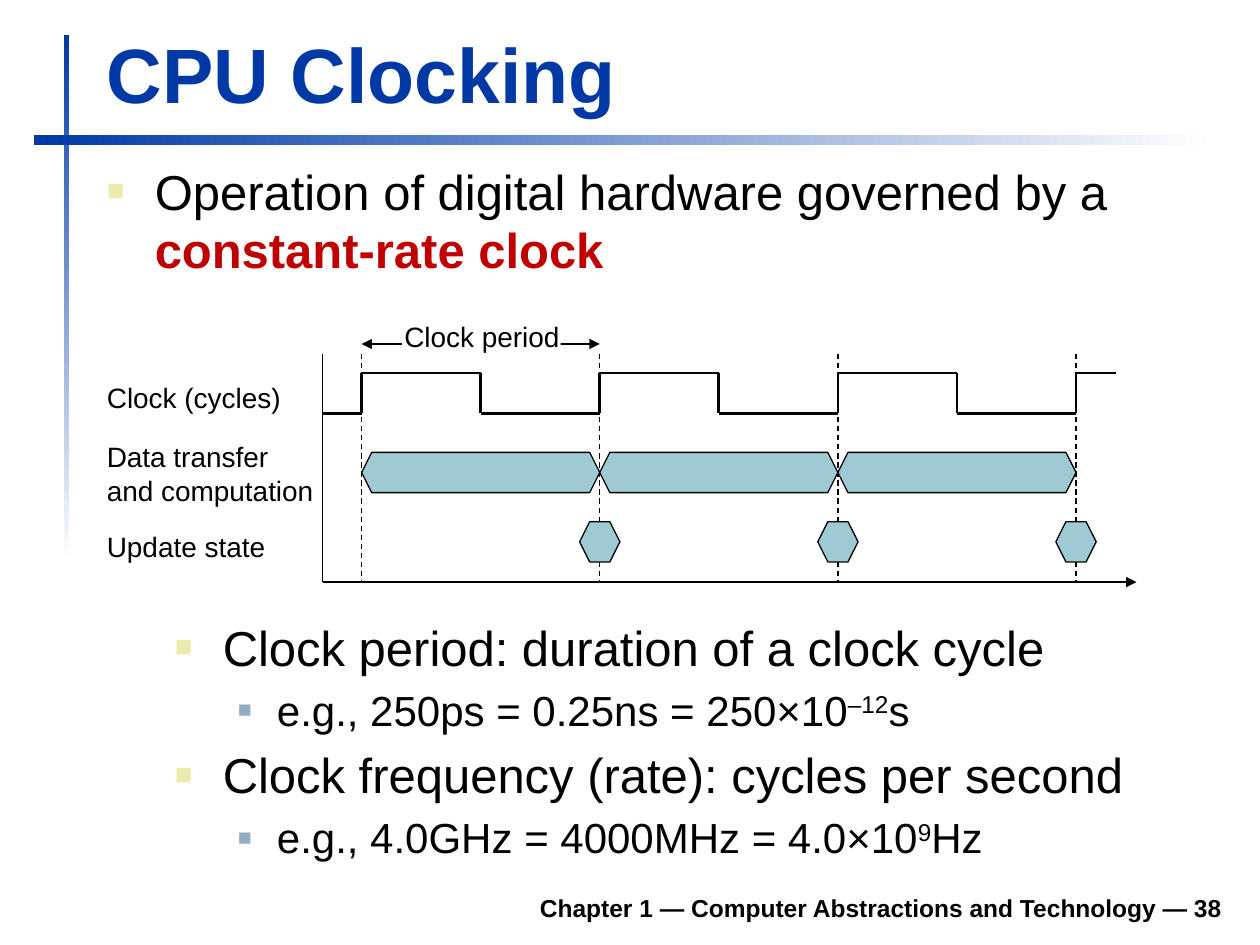
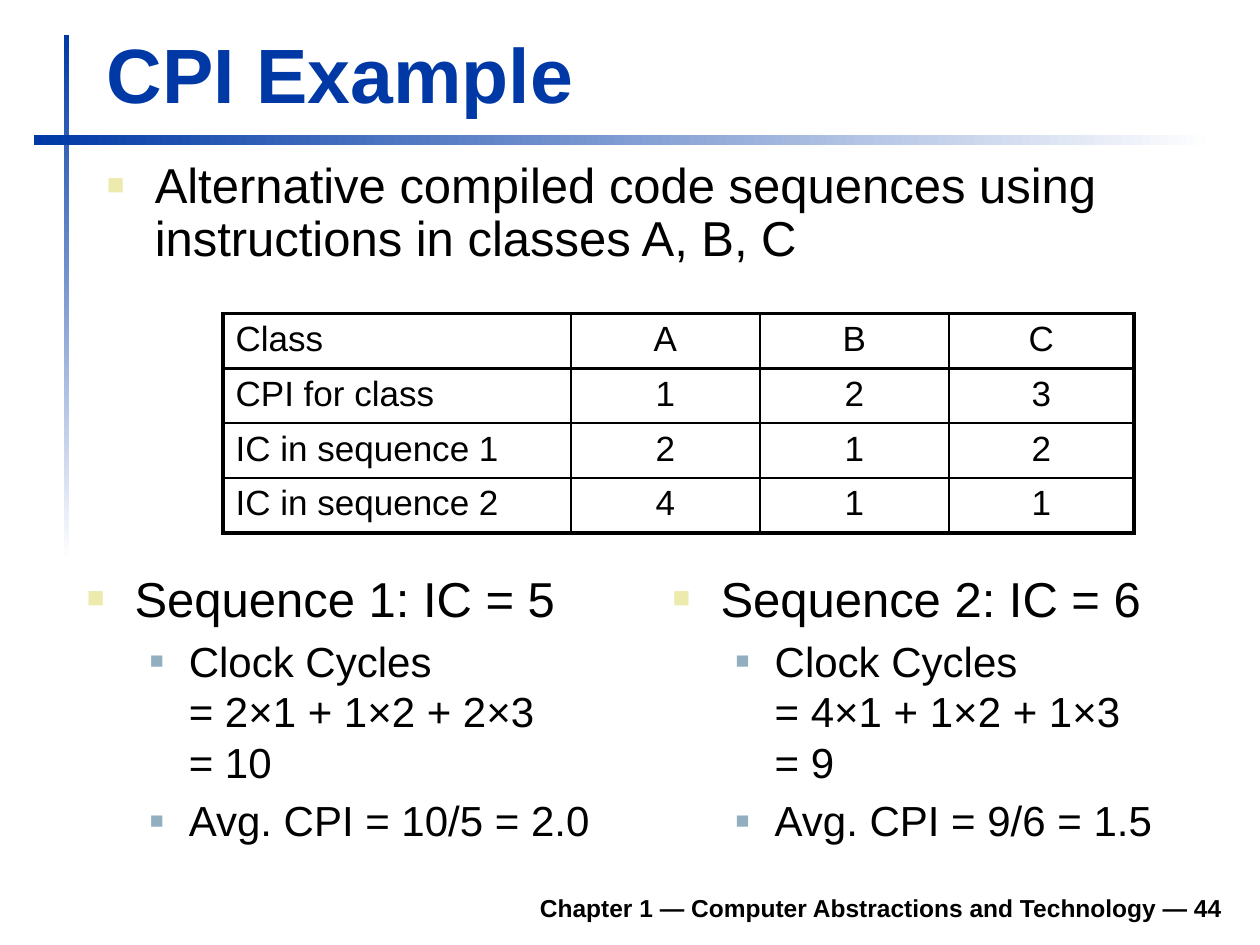
import itertools

import pptx
import pptx.util
from lxml import etree
from pptx.dml.color import RGBColor
from pptx.enum.dml import MSO_LINE
from pptx.enum.shapes import MSO_CONNECTOR, MSO_SHAPE
from pptx.enum.text import MSO_ANCHOR, PP_ALIGN
from pptx.oxml.ns import qn

Inches, Pt = pptx.util.Inches, pptx.util.Pt

# Content
FOOTER = "Chapter 1 — Computer Abstractions and Technology — {}"
KEY = dict(bold=True, color="red")
SUP = dict(sup=True)

# Each bullet is (level, runs); a run is (text, format)
CLOCK_INTRO = [(0, [("Operation of digital hardware governed by a ", {}),
                    ("constant-rate clock", KEY)])]
CLOCK_FACTS = [
    (0, [("Clock period: duration of a clock cycle", {})]),
    (1, [("e.g., 250ps = 0.25ns = 250×10", {}), ("–12", SUP), ("s", {})]),
    (0, [("Clock frequency (rate): cycles per second", {})]),
    (1, [("e.g., 4.0GHz = 4000MHz = 4.0×10", {}), ("9", SUP), ("Hz", {})]),
]
SIGNALS = [  # label, left, top, width, height
    ("Clock (cycles)", (0.75, 2.97, 1.58, 0.37)),
    ("Data transfer\nand computation", (0.75, 3.44, 1.84, 0.64)),
    ("Update state", (0.75, 4.15, 1.46, 0.37)),
]
CPI_INTRO = [(0, [("Alternative compiled code sequences using "
                   "instructions in classes A, B, C", {})])]
CPI_TABLE = [
    ("Class", "A", "B", "C"),
    ("CPI for class", "1", "2", "3"),
    ("IC in sequence 1", "2", "1", "2"),
    ("IC in sequence 2", "4", "1", "1"),
]
COL_WIDTHS = [2.76, 1.5, 1.5, 1.47]
ROW_HEIGHTS = [0.43, 0.43, 0.43, 0.44]
SEQUENCES = [  # left, heading, clock cycles, average
    (0.59, "Sequence 1: IC = 5", "Clock Cycles\n= 2×1 + 1×2 + 2×3\n= 10",
     "Avg. CPI = 10/5 = 2.0"),
    (5.24, "Sequence 2: IC = 6", "Clock Cycles\n= 4×1 + 1×2 + 1×3\n= 9",
     "Avg. CPI = 9/6 = 1.5"),
]

# Style
FONT = "Arial"
COLORS = dict(blue="0039A6", white="FFFFFF", black="000000", red="C00000",
              teal="9FCAD3", sand="ECEAAC", steel="91AFBF")
LEVELS = [
    dict(size=28, left=0.38, hang=0.38, color="sand", percent=60),
    dict(size=24, left=0.81, hang=0.31, color="steel", percent=55),
]

# Timing diagram
PERIOD = 1.89
EDGES = [2.87 + PERIOD * i for i in range(4)]
AXIS_X, AXIS_TOP, AXIS_Y, AXIS_END = 2.56, 2.81, 4.62, 9.02
HIGH, LOW, WAVE_END = 2.96, 3.28, 8.86
DATA_TOP, STATE_TOP, HEX_H, STATE_W = 3.59, 4.14, 0.32, 0.32


def rgb(name):
    return RGBColor.from_string(COLORS[name])


def inches(*lengths):
    return [Inches(n) for n in lengths]


def add_run(p, text, size=16, color="black", bold=False, sup=False):
    for i, line in enumerate(text.split("\n")):
        if i:
            p.add_line_break()
        r = p.add_run()
        r.text = line
        r.font.name, r.font.size, r.font.bold = FONT, Pt(size), bold
        r.font.color.rgb = rgb(color)
        if sup:
            r.font._element.set("baseline", "30000")


def add_box(s, box, wrap=True, anchor=MSO_ANCHOR.TOP):
    tf = s.shapes.add_textbox(*inches(*box)).text_frame
    tf.word_wrap, tf.vertical_anchor = wrap, anchor
    return tf


def add_label(s, box, text, align=PP_ALIGN.LEFT, wrap=False,
              anchor=MSO_ANCHOR.TOP, **font):
    p = add_box(s, box, wrap, anchor).paragraphs[0]
    p.alignment = align
    add_run(p, text, **font)


def set_bullet(p, style):
    pPr = p._p.get_or_add_pPr()
    pPr.set("marL", str(Inches(style["left"])))
    pPr.set("indent", str(-Inches(style["hang"])))
    color = etree.SubElement(pPr, qn("a:buClr"))
    etree.SubElement(color, qn("a:srgbClr"), val=COLORS[style["color"]])
    etree.SubElement(pPr, qn("a:buSzPct"), val=str(style["percent"] * 1000))
    etree.SubElement(pPr, qn("a:buFont"), typeface=FONT)
    etree.SubElement(pPr, qn("a:buChar"), char="■")


def add_bullets(s, box, bullets, spacing=None):
    tf = add_box(s, box)
    for i, (level, runs) in enumerate(bullets):
        style = LEVELS[level]
        p = tf.add_paragraph() if i else tf.paragraphs[0]
        p.level = level
        set_bullet(p, style)
        p.line_spacing = spacing
        p.space_before = Pt(0.2 * style["size"] if i else 0)
        for text, fmt in runs:
            add_run(p, text, size=style["size"], **fmt)


def add_shape(s, kind, box, fill=None, line=None):
    sp = s.shapes.add_shape(kind, *inches(*box))
    sp.shadow.inherit = False
    if fill:
        sp.fill.solid()
        sp.fill.fore_color.rgb = rgb(fill)
    if line:
        sp.line.color.rgb, sp.line.width = rgb(line), Pt(0.75)
    else:
        sp.line.fill.background()
    return sp


def add_line(s, start, end, width=0.75, dash=False, arrows=()):
    c = s.shapes.add_connector(MSO_CONNECTOR.STRAIGHT, *inches(*start, *end))
    c.line.color.rgb, c.line.width = rgb("black"), Pt(width)
    if dash:
        c.line.dash_style = MSO_LINE.DASH
    for tag in arrows:
        etree.SubElement(c.line._get_or_add_ln(), qn(tag), type="triangle")
    etree.SubElement(c._element.spPr, qn("a:effectLst"))


def add_slide(prs, title, number):
    s = prs.slides.add_slide(prs.slide_layouts[6])
    # Crossing gradient bands
    for box, angle in (((0.51, 0.28, 0.04, 4.17), 270),
                       ((0.27, 1.07, 9.37, 0.08), 0)):
        fill = add_shape(s, MSO_SHAPE.RECTANGLE, box).fill
        fill.gradient()
        fill.gradient_angle = angle
        for stop, color, at in zip(fill.gradient_stops, ("blue", "white"), (0, 1)):
            stop.color.rgb, stop.position = rgb(color), at
    # Footer and title
    add_label(s, (1.85, 6.98, 7.95, 0.39), FOOTER.format(number), PP_ALIGN.RIGHT,
              wrap=True, anchor=MSO_ANCHOR.BOTTOM, size=14, bold=True)
    add_label(s, (0.75, 0.16, 9.03, 0.83), title, wrap=True,
              anchor=MSO_ANCHOR.BOTTOM, size=44, color="blue", bold=True)
    return s


def draw_timing(s):
    # Clock period arrow and edge guides
    add_line(s, (EDGES[0], 2.73), (EDGES[1], 2.73), arrows=("a:headEnd", "a:tailEnd"))
    for x in EDGES:
        add_line(s, (x, AXIS_TOP), (x, AXIS_Y), dash=True)

    # Clock wave
    wave = [(AXIS_X, LOW)]
    for x in EDGES:
        wave += [(x, LOW), (x, HIGH)]
        if x != EDGES[-1]:
            wave += [(x + PERIOD / 2, HIGH), (x + PERIOD / 2, LOW)]
    wave.append((WAVE_END, HIGH))
    for start, end in itertools.pairwise(wave):
        add_line(s, start, end, width=1.5)

    # Data transfer spans each period, state updates at its end
    for start, end in itertools.pairwise(EDGES):
        for box in ((start, DATA_TOP, PERIOD, HEX_H),
                    (end - STATE_W / 2, STATE_TOP, STATE_W, HEX_H)):
            add_shape(s, MSO_SHAPE.HEXAGON, box, "teal", "black")

    # Axes and labels
    add_line(s, (AXIS_X, AXIS_Y), (AXIS_END, AXIS_Y), arrows=("a:tailEnd",))
    add_line(s, (AXIS_X, AXIS_Y), (AXIS_X, AXIS_TOP))
    for text, box in SIGNALS:
        add_label(s, box, text)
    add_shape(s, MSO_SHAPE.RECTANGLE, (3.19, 2.65, 1.26, 0.16), "white")
    add_label(s, (3.11, 2.49, 1.43, 0.37), "Clock period", PP_ALIGN.CENTER)


def set_borders(cell, thick_sides):
    tcPr = cell._tc.get_or_add_tcPr()
    for side in "LRTB":
        width = Pt(2.25 if side in thick_sides else 1)
        ln = etree.SubElement(tcPr, qn(f"a:ln{side}"), w=str(width))
        fill = etree.SubElement(ln, qn("a:solidFill"))
        etree.SubElement(fill, qn("a:srgbClr"), val=COLORS["black"])


def draw_cpi_table(s):
    rows, cols = len(CPI_TABLE), len(COL_WIDTHS)
    table = s.shapes.add_table(rows, cols, *inches(
        1.77, 2.49, sum(COL_WIDTHS), sum(ROW_HEIGHTS))).table
    table.first_row = table.horz_banding = False
    for column, width in zip(table.columns, COL_WIDTHS):
        column.width = Inches(width)
    for row, height in zip(table.rows, ROW_HEIGHTS):
        row.height = Inches(height)
    for i, j in itertools.product(range(rows), range(cols)):
        cell = table.cell(i, j)
        # Heavy outline and header rule
        thick = [side for side, heavy in (
            ("L", j == 0), ("R", j == cols - 1),
            ("T", i < 2), ("B", i in (0, rows - 1))) if heavy]
        set_borders(cell, thick)
        cell.fill.background()
        p = cell.text_frame.paragraphs[0]
        p.alignment = PP_ALIGN.CENTER if j else PP_ALIGN.LEFT
        add_run(p, CPI_TABLE[i][j], size=20)


def main():
    prs = pptx.Presentation()
    prs.slide_width, prs.slide_height = inches(10, 7.5)

    # CPU clocking
    s = add_slide(prs, "CPU Clocking", 38)
    add_bullets(s, (0.75, 1.23, 9.05, 1.34), CLOCK_INTRO)
    draw_timing(s)
    add_bullets(s, (1.29, 4.85, 8.5, 2.13), CLOCK_FACTS)

    # CPI example
    s = add_slide(prs, "CPI Example", 44)
    add_bullets(s, (0.75, 1.23, 9.05, 1.09), CPI_INTRO, spacing=0.9)
    draw_cpi_table(s)
    for left, heading, cycles, average in SEQUENCES:
        add_bullets(s, (left, 4.46, 4.25, 2.28), [
            (0, [(heading, {})]), (1, [(cycles, {})]), (1, [(average, {})])])

    prs.save("out.pptx")


if __name__ == "__main__":
    main()
